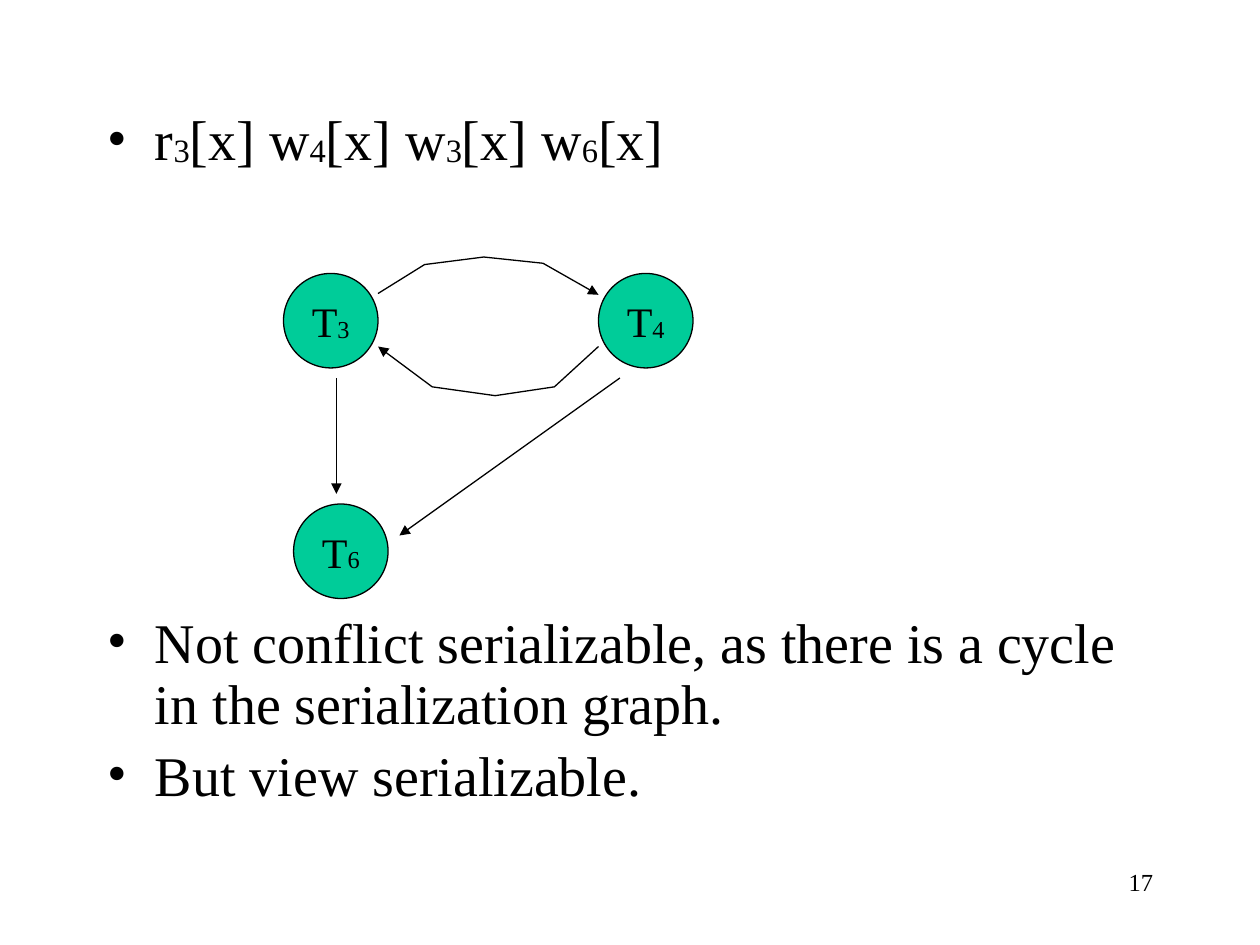
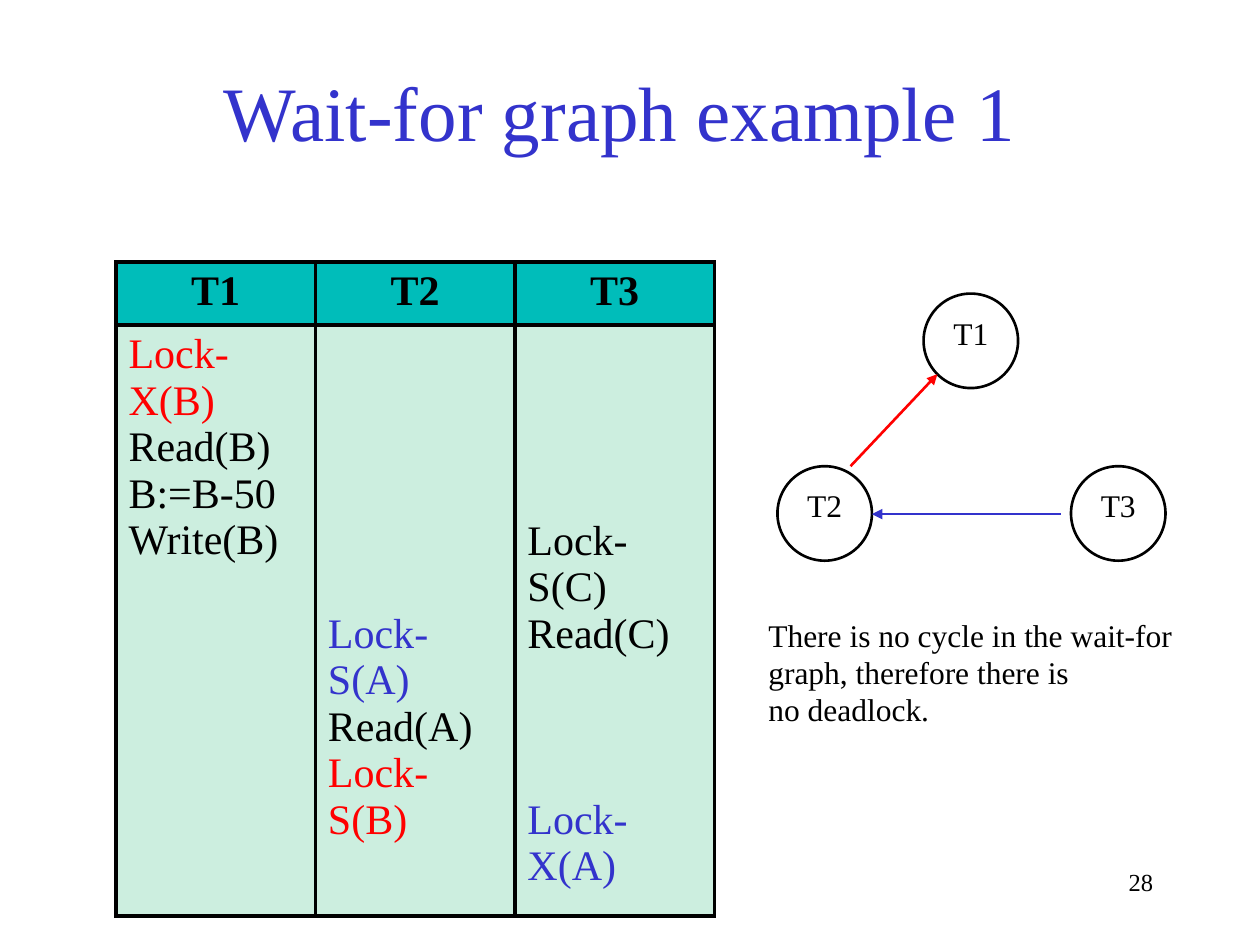
from lxml import etree
from pptx import Presentation
from pptx.dml.color import RGBColor
from pptx.enum.shapes import MSO_CONNECTOR, MSO_SHAPE
from pptx.enum.text import MSO_ANCHOR, MSO_AUTO_SIZE, PP_ALIGN
from pptx.oxml.ns import qn
from pptx.util import Inches, Pt

LEFT, CENTER, RIGHT = PP_ALIGN.LEFT, PP_ALIGN.CENTER, PP_ALIGN.RIGHT
TOP, MIDDLE = MSO_ANCHOR.TOP, MSO_ANCHOR.MIDDLE
FIXED = MSO_AUTO_SIZE.NONE
OVAL, STRAIGHT = MSO_SHAPE.OVAL, MSO_CONNECTOR.STRAIGHT

FONT = "Times New Roman"
BLACK, BLUE, RED = "000000", "3333CC", "FF0000"
GREEN, TEAL, MINT = "00CC99", "00BDBA", "CCEEDF"
NODE_SIZE = 0.75
TABLE_LINE = 0.37
CELL_MARGIN = 0.05


def rgb(value):
    """Turn a hex string into a colour."""
    return RGBColor.from_string(value)


def add_span(para, text, size, color=BLACK, bold=False, lowered=False):
    """Add one formatted run, optionally as a subscript."""
    span = para.add_run()
    span.text = text
    span.font.name = FONT
    span.font.size = Pt(size)
    span.font.bold = bold
    span.font.color.rgb = rgb(color)
    if lowered:
        span.font._element.set("baseline", "-2000")


def add_indexed(para, parts, size):
    """Add runs in which every second part is a subscript."""
    for index, part in enumerate(parts):
        add_span(para, part, size, lowered=index % 2 == 1)


def next_para(frame, index):
    """Return the first paragraph of a frame, or a new one after it."""
    return frame.paragraphs[0] if index == 0 else frame.add_paragraph()


def place(shape, left, top, width, height):
    """Move and size a shape, in inches."""
    shape.left, shape.top = Inches(left), Inches(top)
    shape.width, shape.height = Inches(width), Inches(height)


def add_text_box(page, left, top, width, height, lines, size, align=LEFT,
                 spacing=None, wrap=True):
    """Add a text box with one paragraph for each line."""
    box = page.shapes.add_textbox(Inches(left), Inches(top),
                                  Inches(width), Inches(height))
    box.text_frame.word_wrap = wrap
    for index, line in enumerate(lines):
        para = next_para(box.text_frame, index)
        para.alignment = align
        para.line_spacing = spacing
        add_span(para, line, size)


def add_page_number(page, number):
    """Add the page number at the lower right."""
    add_text_box(page, 7.17, 6.83, 2.08, 0.5, [number], 14, RIGHT)


def add_title(page, text):
    """Fill the title placeholder."""
    title = page.shapes.title
    place(title, 0.67, 0.25, 8.5, 1.25)
    frame = title.text_frame
    frame.auto_size, frame.vertical_anchor = FIXED, MIDDLE
    frame.paragraphs[0].alignment = CENTER
    add_span(frame.paragraphs[0], text, 44, BLUE)


def add_bullets(page, bullets):
    """Fill the body placeholder from (parts, space before) pairs."""
    body = page.placeholders[1]
    place(body, 0.75, 0.83, 8.5, 5.83)
    frame = body.text_frame
    frame.auto_size, frame.vertical_anchor = FIXED, TOP
    for index, (parts, gap) in enumerate(bullets):
        para = next_para(frame, index)
        para.line_spacing, para.space_before = Pt(35), Pt(gap)
        props = para._p.get_or_add_pPr()
        props.set("marL", str(Inches(0.38)))
        props.set("indent", str(Inches(-0.38)))
        etree.SubElement(props, qn("a:buFont"), typeface=FONT)
        etree.SubElement(props, qn("a:buChar"), char="•")
        add_indexed(para, parts, 32)


def add_node(page, left, top, parts, size, weight, fill=None):
    """Add a labelled circle: filled and centred, or hollow with text on top."""
    node = page.shapes.add_shape(OVAL, Inches(left), Inches(top),
                                 Inches(NODE_SIZE), Inches(NODE_SIZE))
    node.shadow.inherit = False
    node.line.color.rgb, node.line.width = rgb(BLACK), Pt(weight)
    if fill:
        node.fill.solid()
        node.fill.fore_color.rgb = rgb(fill)
    else:
        node.fill.background()
    frame = node.text_frame
    frame.word_wrap = not fill
    frame.vertical_anchor = MIDDLE if fill else TOP
    frame.paragraphs[0].alignment = CENTER
    add_indexed(frame.paragraphs[0], parts, size)


def add_edge(page, points, color, weight):
    """Add an arrow through the points, straight or bent."""
    points = [(Inches(x), Inches(y)) for x, y in points]
    if len(points) == 2:
        edge = page.shapes.add_connector(STRAIGHT, *points[0], *points[1])
    else:
        builder = page.shapes.build_freeform(*points[0])
        builder.add_line_segments(points[1:], close=False)
        edge = builder.convert_to_shape()
        edge.fill.background()
    edge.line.color.rgb, edge.line.width = rgb(color), Pt(weight)
    props = edge._element.spPr
    etree.SubElement(props.find(qn("a:ln")), qn("a:tailEnd"), type="triangle")
    etree.SubElement(props, qn("a:effectLst"))


def add_graph(page, left, top, nodes, edges, size, weight, fill=None):
    """Draw nodes and edges given relative to the upper left corner."""
    for x, y, parts in nodes:
        add_node(page, left + x, top + y, parts, size, weight, fill)
    for color, points in edges:
        moved = [(left + x, top + y) for x, y in points]
        add_edge(page, moved, color, weight)


def style_cell(cell, fill):
    """Give a cell its black borders and its fill."""
    props = cell._tc.get_or_add_tcPr()
    for side in ("lnL", "lnR", "lnT", "lnB"):
        border = etree.SubElement(props, qn(f"a:{side}"), w=str(Pt(2.25)))
        paint = etree.SubElement(border, qn("a:solidFill"))
        etree.SubElement(paint, qn("a:srgbClr"), val=BLACK)
    cell.fill.solid()
    cell.fill.fore_color.rgb = rgb(fill)


def add_schedule(page, left, top, columns):
    """Add the lock table; each step holds skipped lines, text and colour."""
    frame = page.shapes.add_table(2, len(columns), Inches(left), Inches(top),
                                  Inches(4.75), Inches(4.99))
    table = frame.table
    table.first_row = table.horz_banding = False
    table.rows[0].height, table.rows[1].height = Inches(0.46), Inches(4.53)
    for column, (heading, steps) in enumerate(columns):
        table.columns[column].width = Inches(4.75 / len(columns))
        head, cell = table.cell(0, column), table.cell(1, column)
        style_cell(head, TEAL)
        style_cell(cell, MINT)
        para = head.text_frame.paragraphs[0]
        para.alignment = CENTER
        add_span(para, heading, 24, bold=True)
        for index, (skipped, text, color) in enumerate(steps):
            para = next_para(cell.text_frame, index)
            gap = skipped * TABLE_LINE
            if index == 0:
                cell.margin_top = Inches(CELL_MARGIN + gap)
            else:
                para.space_before = Inches(gap)
            add_span(para, text, 24, color)


def build_serializability(deck):
    """Build the page with the serialization graph."""
    page = deck.slides.add_slide(deck.slide_layouts[1])
    title = page.shapes.title._element
    title.getparent().remove(title)
    add_page_number(page, "17")
    add_bullets(page, [
        (["r", "3", "[x] w", "4", "[x] w", "3", "[x] w", "6", "[x]"], 0),
        (["Not conflict serializable, as there is a cycle in the "
          "serialization graph."], 252),
        (["But view serializable."], 6),
    ])
    nodes = [(0, 0.13, "T3"), (0.08, 1.96, "T6"), (2.5, 0.13, "T4")]
    paths = [
        [(0.75, 0.29), (1.12, 0.06), (1.59, 0), (2.06, 0.05), (2.5, 0.3)],
        [(2.5, 0.71), (2.15, 1.03), (1.68, 1.1), (1.18, 1.03), (0.75, 0.71)],
        [(0.42, 0.96), (0.42, 1.88)],
        [(2.67, 0.96), (0.92, 2.21)],
    ]
    edges = [(BLACK, points) for points in paths]
    add_graph(page, 2.25, 2.04, nodes, edges, 24, 0.75, GREEN)


def build_wait_for(deck):
    """Build the page with the lock table and the wait-for graph."""
    page = deck.slides.add_slide(deck.slide_layouts[5])
    add_title(page, "Wait-for graph example 1")
    add_page_number(page, "28")
    add_schedule(page, 0.92, 2.08, [
        ("T1", [(0, "Lock-X(B)", RED), (0, "Read(B)", BLACK),
                (0, "B:=B-50", BLACK), (0, "Write(B)", BLACK)]),
        ("T2", [(6, "Lock-S(A)", BLUE), (0, "Read(A)", BLACK),
                (0, "Lock-S(B)", RED)]),
        ("T3", [(4, "Lock-S(C)", BLACK), (0, "Read(C)", BLACK),
                (3, "Lock-X(A)", BLUE)]),
    ])
    nodes = [(1.16, 0, ["T1"]), (0, 1.37, ["T2"]), (2.33, 1.37, ["T3"])]
    edges = [(RED, [(0.58, 1.37), (1.27, 0.64)]),
             (BLUE, [(2.25, 1.75), (0.75, 1.75)])]
    add_graph(page, 6.17, 2.33, nodes, edges, 18, 1.5)
    add_text_box(page, 6, 4.84, 3.44, 1.01,
                 ["There is no cycle in the wait-for",
                  "graph, therefore there is", "no deadlock."],
                 18, spacing=Pt(21.3), wrap=False)


def main():
    """Build and save the deck."""
    deck = Presentation()
    deck.slide_width, deck.slide_height = Inches(10), Inches(7.5)
    build_serializability(deck)
    build_wait_for(deck)
    deck.save("out.pptx")


if __name__ == "__main__":
    main()
